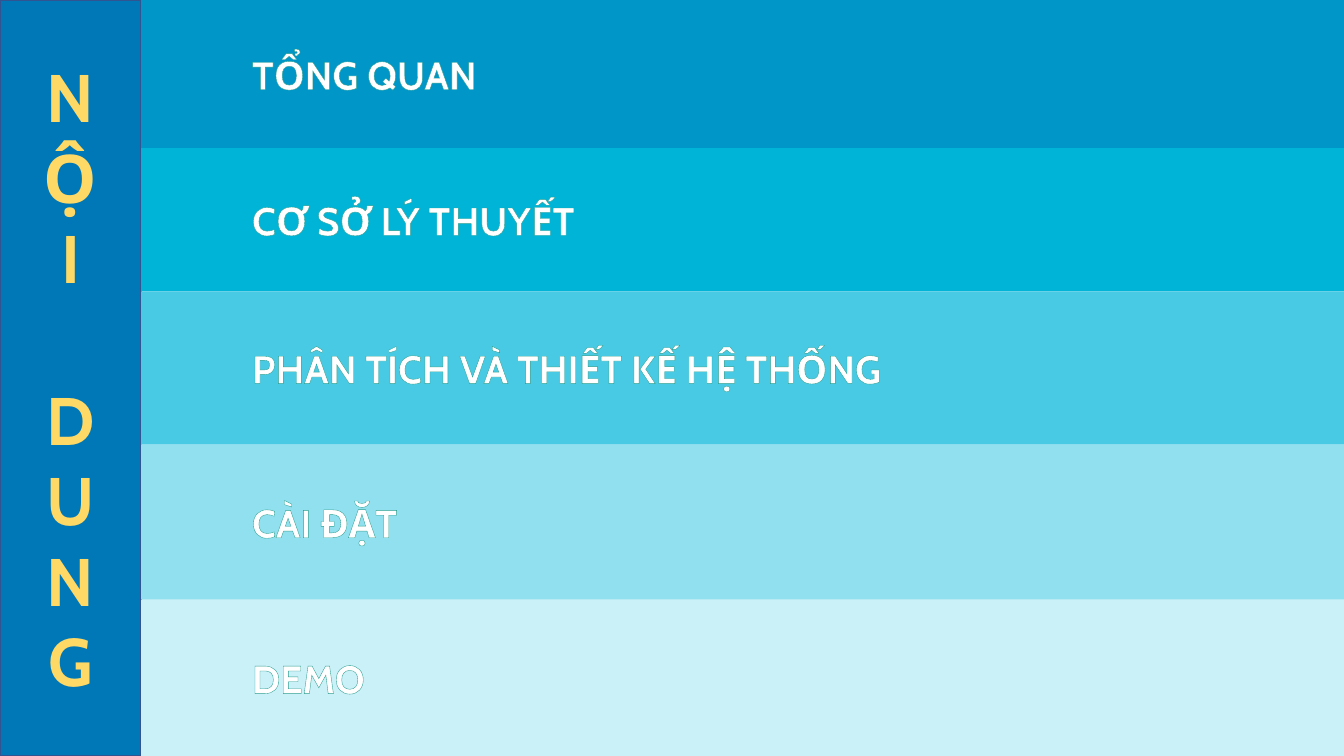
from dataclasses import dataclass
from itertools import accumulate

from lxml.etree import SubElement
from pptx import Presentation
from pptx.dml.color import RGBColor
from pptx.enum.shapes import MSO_SHAPE
from pptx.enum.text import MSO_ANCHOR, PP_ALIGN
from pptx.oxml.ns import qn
from pptx.util import Inches, Pt


@dataclass(frozen=True)
class Theme:
    """Colours, font and type sizes of the slide."""
    font: str = "Cabin"
    title_size: float = 48
    topic_size: float = 28
    word_gap: float = 57.5
    sidebar: str = "0077B6"
    sidebar_line: str = "325491"
    title: str = "FFD966"
    title_outline: str = "FFFFFF"
    topic: str = "FFFFFF"
    topic_outline: str = "2A9D8F"


THEME = Theme()
SLIDE_WIDTH, SLIDE_HEIGHT, SIDEBAR_WIDTH = 13.33, 7.5, 1.4
TITLE_WORDS = ("NỘI", "DUNG")
TOPICS = (
    ("TỔNG QUAN", "0096C7", 1.47),
    ("CƠ SỞ LÝ THUYẾT", "00B4D8", 1.42),
    ("PHÂN TÍCH VÀ THIẾT KẾ HỆ THỐNG", "48CAE4", 1.52),
    ("CÀI ĐẶT", "90E0EF", 1.54),
    ("DEMO", "CAF0F8", 1.55),
)


def add_panel(slide, box, fill, line=None):
    """Add a flat rectangle in the box, with an optional border."""
    shape = slide.shapes.add_shape(MSO_SHAPE.RECTANGLE, *map(Inches, box))
    shape.shadow.inherit = False
    shape.fill.solid()
    shape.fill.fore_color.rgb = RGBColor.from_string(fill)
    if line:
        shape.line.color.rgb = RGBColor.from_string(line)
        shape.line.width = Pt(1)
    else:
        shape.line.fill.background()
    shape.text_frame.word_wrap = True
    shape.text_frame.vertical_anchor = MSO_ANCHOR.MIDDLE
    return shape


def add_run(paragraph, text, size, color, outline, outline_width, dash="solid"):
    """Add a bold run with outlined letters."""
    run = paragraph.add_run()
    run.text = text
    run.font.name = THEME.font
    run.font.size = Pt(size)
    run.font.bold = True
    run.font.color.rgb = RGBColor.from_string(color)
    properties = run.font._element
    line = SubElement(properties, qn("a:ln"), w=str(Pt(outline_width)))
    SubElement(SubElement(line, qn("a:solidFill")), qn("a:srgbClr"), val=outline)
    SubElement(line, qn("a:prstDash"), val=dash)
    properties.insert(0, line)


def add_sidebar(slide, box):
    """Add the sidebar with the title set one letter to a line."""
    frame = add_panel(slide, box, THEME.sidebar, THEME.sidebar_line).text_frame
    letters = [(letter, word > 0 and place == 0)
               for word, text in enumerate(TITLE_WORDS)
               for place, letter in enumerate(text)]
    for index, (letter, starts_word) in enumerate(letters):
        paragraph = frame.add_paragraph() if index else frame.paragraphs[0]
        paragraph.alignment = PP_ALIGN.CENTER
        if starts_word:
            paragraph.space_before = Pt(THEME.word_gap)
        add_run(paragraph, letter, THEME.title_size, THEME.title,
                THEME.title_outline, 3, "lgDashDotDot")


def add_topics(slide, box):
    """Stack the topic bands from the top of the box."""
    left, top, width, _ = box
    offsets = accumulate((height for *_, height in TOPICS), initial=0)
    for (text, fill, height), offset in zip(TOPICS, offsets):
        frame = add_panel(slide, (left, top + offset, width, height), fill).text_frame
        frame.margin_left = Inches(1.1)
        paragraph = frame.paragraphs[0]
        paragraph.alignment = PP_ALIGN.LEFT
        add_run(paragraph, text, THEME.topic_size, THEME.topic,
                THEME.topic_outline, 0.75)


def main():
    """Build the contents slide and save it."""
    presentation = Presentation()
    presentation.slide_width = Inches(SLIDE_WIDTH)
    presentation.slide_height = Inches(SLIDE_HEIGHT)
    slide = presentation.slides.add_slide(presentation.slide_layouts[6])
    add_sidebar(slide, (0, 0, SIDEBAR_WIDTH, SLIDE_HEIGHT))
    add_topics(slide, (SIDEBAR_WIDTH, 0, SLIDE_WIDTH - SIDEBAR_WIDTH, SLIDE_HEIGHT))
    presentation.save("out.pptx")


if __name__ == "__main__":
    main()
